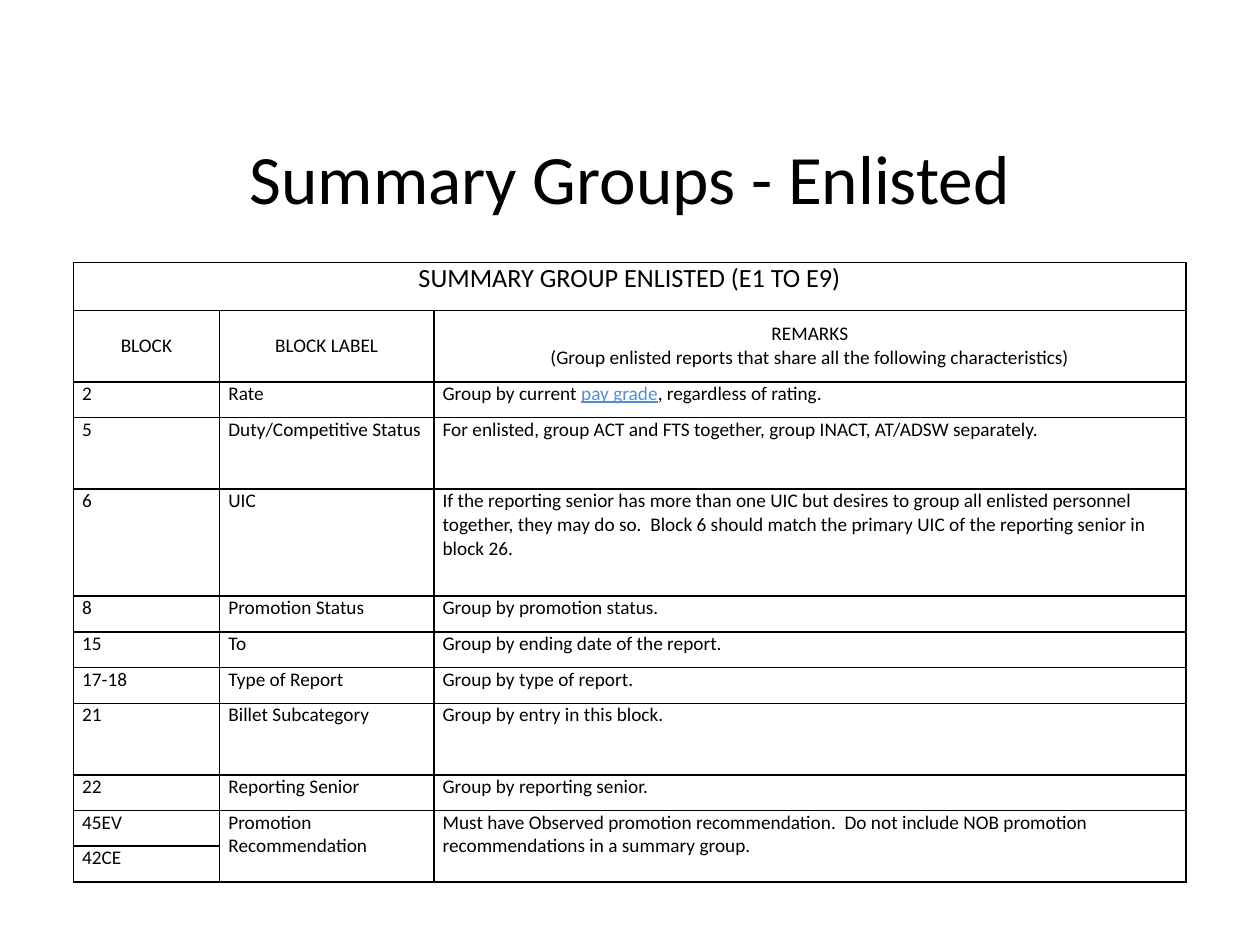
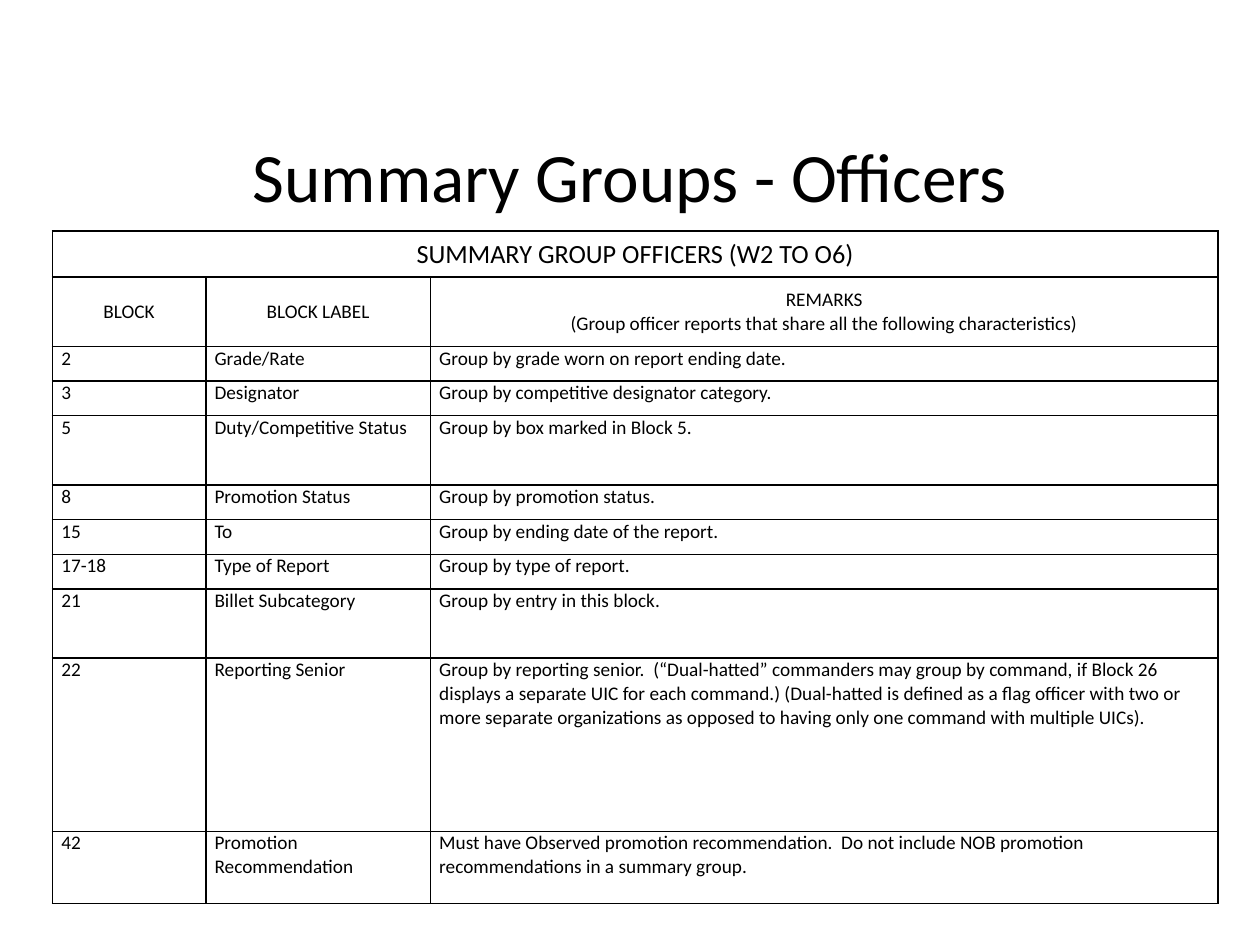
from dataclasses import dataclass

from lxml.etree import SubElement
from pptx import Presentation
from pptx.dml.color import RGBColor
from pptx.enum.text import MSO_ANCHOR as Anchor, PP_ALIGN as Align
from pptx.oxml.ns import qn
from pptx.util import Pt


@dataclass(frozen=True)
class Theme:
    """Colours, type sizes and line weights shared by the slides."""
    font: str = "Calibri"
    ink: str = "000000"
    link: str = "548DD4"
    title_size: float = 39.6
    band_size: float = 15
    body_size: float = 11
    border: float = 1
    inset: float = 5.04


@dataclass(frozen=True)
class Row:
    """One block of the form; height counts table row units."""
    block: str
    label: str
    remark: str
    height: float = 1
    link: str = ""
    after_link: str = ""


@dataclass(frozen=True)
class Group:
    """Content and placement of one summary group slide."""
    title: str
    title_box: tuple
    heading: str
    members: str
    table_box: tuple
    columns: tuple
    heading_height: float
    unit: float
    rows: tuple
    heading_anchor: Anchor = Anchor.TOP
    joined_rows: int = 1


THEME = Theme()
COMMON_ROWS = (
    Row("8", "Promotion Status", "Group by promotion status."),
    Row("15", "To", "Group by ending date of the report."),
    Row("17-18", "Type of Report", "Group by type of report."),
    Row("21", "Billet Subcategory", "Group by entry in this block.", 2),
)
DUTY = "Duty/Competitive Status"
SENIOR = "Reporting Senior"
BY_SENIOR = "Group by reporting senior."
PROMOTION = "Promotion Recommendation"
OBSERVED = ("Must have Observed promotion recommendation.  Do not include NOB "
            "promotion recommendations in a summary group.")

ENLISTED = Group(
    title="Summary Groups - Enlisted",
    title_box=(36, 72, 648, 57.6),
    heading="SUMMARY GROUP ENLISTED (E1 TO E9)",
    members="enlisted",
    table_box=(41.9, 150, 635.8, 354.2),
    columns=(83.6, 122.4, 429.8),
    heading_height=27.4,
    unit=20.42,
    rows=(
        Row("2", "Rate", "Group by current ", link="pay grade",
            after_link=", regardless of rating."),
        Row("5", DUTY, "For enlisted, group ACT and FTS together, group INACT, "
            "AT/ADSW separately.", 2),
        Row("6", "UIC", "If the reporting senior has more than one UIC but desires "
            "to group all enlisted personnel together, they may do so.  Block 6 "
            "should match the primary UIC of the reporting senior in block 26.", 3),
        *COMMON_ROWS,
        Row("22", SENIOR, BY_SENIOR),
        Row("45EV", PROMOTION, OBSERVED),
        Row("42CE", "", ""),
    ),
    joined_rows=2,
)

OFFICERS = Group(
    title="Summary Groups - Officers",
    title_box=(36, 74.2, 648, 51.8),
    heading="SUMMARY GROUP OFFICERS (W2 TO O6)",
    members="officer",
    table_box=(30, 132, 666, 384),
    columns=(87.6, 128.4, 450),
    heading_height=26.4,
    unit=19.8,
    rows=(
        Row("2", "Grade/Rate", "Group by grade worn on report ending date."),
        Row("3", "Designator", "Group by competitive designator category."),
        Row("5", DUTY, "Group by box marked in Block 5.", 2),
        *COMMON_ROWS,
        Row("22", SENIOR, BY_SENIOR + "  (“Dual-hatted” commanders may group by "
            "command, if Block 26 displays a separate UIC for each command.) "
            "(Dual-hatted is defined as a flag officer with two or more separate "
            "organizations as opposed to having only one command with multiple "
            "UICs).", 5),
        Row("42", PROMOTION, OBSERVED, 2.08),
    ),
    heading_anchor=Anchor.MIDDLE,
)


def add_run(paragraph, text, size=THEME.body_size, color=THEME.ink, underline=None):
    """Add one run in the theme font."""
    run = paragraph.add_run()
    run.text = text
    font = run.font
    font.name, font.size, font.underline = THEME.font, Pt(size), underline
    font.color.rgb = RGBColor.from_string(color)


def add_title(slide, text, box):
    """Place a centred title in its box."""
    frame = slide.shapes.add_textbox(*map(Pt, box)).text_frame
    frame.word_wrap = True
    frame.vertical_anchor = Anchor.MIDDLE
    paragraph = frame.paragraphs[0]
    paragraph.alignment = Align.CENTER
    add_run(paragraph, text, THEME.title_size)


def style_cell(cell):
    """Give a cell the shared insets, thin borders and no fill."""
    cell.margin_left = cell.margin_right = Pt(THEME.inset)
    cell.margin_top = cell.margin_bottom = 0
    properties = cell._tc.get_or_add_tcPr()
    for side in ("lnL", "lnR", "lnT", "lnB"):
        line = SubElement(properties, qn(f"a:{side}"), w=str(Pt(THEME.border)))
        fill = SubElement(line, qn("a:solidFill"))
        SubElement(fill, qn("a:srgbClr"), val=THEME.ink)
    cell.fill.background()


def fill_heading(cell, lines, size=THEME.body_size, anchor=Anchor.MIDDLE):
    """Write centred lines, one paragraph each."""
    cell.vertical_anchor = anchor
    frame = cell.text_frame
    for index, text in enumerate(lines):
        paragraph = frame.add_paragraph() if index else frame.paragraphs[0]
        paragraph.alignment = Align.CENTER
        add_run(paragraph, text, size)


def fill_row(cells, row):
    """Write the block, label and remark of one row."""
    for cell, text in zip(cells, (row.block, row.label, row.remark)):
        if text:
            add_run(cell.text_frame.paragraphs[0], text)
    if row.link:
        paragraph = cells[2].text_frame.paragraphs[0]
        add_run(paragraph, row.link, color=THEME.link, underline=True)
        add_run(paragraph, row.after_link)


def add_group_table(slide, group):
    """Build the table of blocks in the group's box."""
    heights = [group.heading_height, 2 * group.unit]
    heights += [row.height * group.unit for row in group.rows]
    table = slide.shapes.add_table(
        len(heights), len(group.columns), *map(Pt, group.table_box)).table
    table.first_row = table.horz_banding = False
    for column, width in zip(table.columns, group.columns):
        column.width = Pt(width)
    for table_row, height in zip(table.rows, heights):
        table_row.height = Pt(height)
    for cell in table.iter_cells():
        style_cell(cell)

    table.cell(0, 0).merge(table.cell(0, 2))
    fill_heading(table.cell(0, 0), [group.heading], THEME.band_size,
                 group.heading_anchor)
    remarks = ("REMARKS", f"(Group {group.members} reports that share all the "
               "following characteristics)")
    for cell, lines in zip(table.rows[1].cells,
                           (["BLOCK"], ["BLOCK LABEL"], remarks)):
        fill_heading(cell, lines)
    for index, row in enumerate(group.rows, start=2):
        fill_row(list(table.rows[index].cells), row)
    if group.joined_rows > 1:
        last = len(heights) - 1
        for column in (1, 2):
            first = table.cell(last - group.joined_rows + 1, column)
            first.merge(table.cell(last, column))


def add_group_slide(presentation, group):
    """Add one summary group slide."""
    slide = presentation.slides.add_slide(presentation.slide_layouts[6])
    add_title(slide, group.title, group.title_box)
    add_group_table(slide, group)


def main():
    """Build and save the presentation."""
    presentation = Presentation()
    presentation.slide_width, presentation.slide_height = Pt(720), Pt(540)
    for group in (ENLISTED, OFFICERS):
        add_group_slide(presentation, group)
    presentation.save("out.pptx")


if __name__ == "__main__":
    main()
